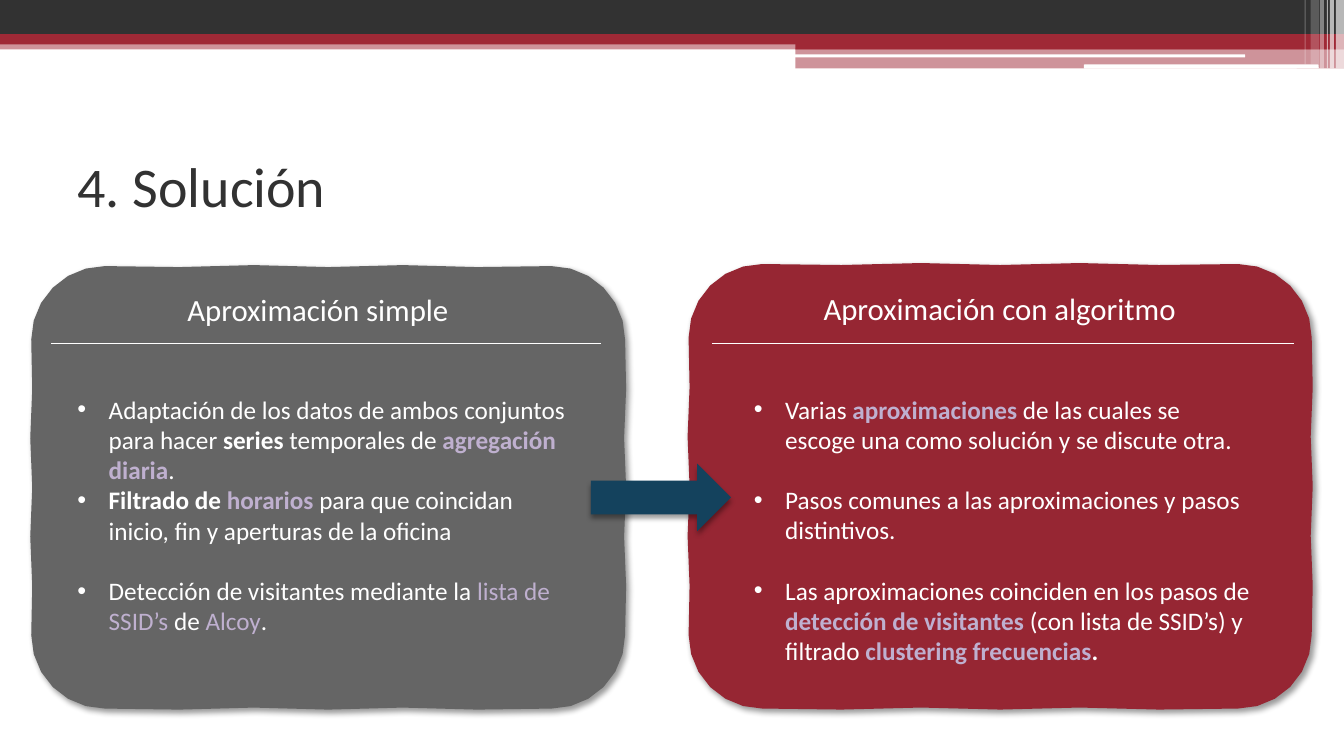
from math import cos, pi, sin

from lxml.etree import SubElement
from pptx import Presentation
from pptx.dml.color import RGBColor
from pptx.enum.shapes import MSO_CONNECTOR, MSO_SHAPE
from pptx.enum.text import MSO_ANCHOR
from pptx.oxml.ns import qn
from pptx.util import Cm, Pt

COLORS = {"dark": "323232", "red": "9F2936", "white": "FFFFFF", "gray": "656565",
          "wine": "962633", "lilac": "BFB0CF", "blue": "14425D", "black": "000000"}


def inch(value):
    return Cm(value * 2.54)


class SlideBuilder:
    """Keeps the style and draws on the current slide; places are in inches."""

    def __init__(self, page, font="Calibri"):
        self.page = page
        self.font = font

    def color(self, name):
        return RGBColor.from_string(COLORS[name])

    def paint(self, shape, name, opacity=100, shadow_angle=None):
        shape.fill.solid()
        shape.fill.fore_color.rgb = self.color(name)
        shape.line.fill.background()
        shape.shadow.inherit = False
        properties = shape._element.spPr
        if opacity < 100:
            tint = properties.find(qn("a:solidFill")).find(qn("a:srgbClr"))
            SubElement(tint, qn("a:alpha"), val=str(opacity * 1000))
        if shadow_angle is not None:
            shadow = SubElement(properties.find(qn("a:effectLst")), qn("a:outerShdw"),
                                blurRad=str(Pt(4)), dist=str(Pt(3)),
                                dir=str(shadow_angle * 60000), rotWithShape="0")
            black = SubElement(shadow, qn("a:srgbClr"), val=COLORS["black"])
            SubElement(black, qn("a:alpha"), val="40000")

    def shape(self, place, name, kind=MSO_SHAPE.RECTANGLE, **finish):
        self.paint(self.page.shapes.add_shape(kind, *map(inch, place)), name, **finish)

    def wavy_card(self, left, top, width, height, name, radius=0.73, ripple=0.01):
        right, bottom = left + width, top + height
        centers = [(right - radius, top + radius), (right - radius, bottom - radius),
                   (left + radius, bottom - radius), (left + radius, top + radius)]
        points = []
        for side, (x, y) in enumerate(centers):
            # Rounded corner, from one edge to the next
            for step in range(7):
                angle = (side - 1) * pi / 2 + step * pi / 12
                points.append((x + radius * cos(angle), y + radius * sin(angle)))
            # Rippled edge up to the next corner
            x, y = points[-1]
            next_x, next_y = centers[(side + 1) % 4]
            for step in range(5):
                part = (step + 1) / 6
                wave = ripple * (-1) ** step
                if side % 2:
                    points.append((x + (next_x - x) * part, y + wave))
                else:
                    points.append((x + wave, y + (next_y - y) * part))
        outline = [(inch(x), inch(y)) for x, y in points]
        builder = self.page.shapes.build_freeform(*outline[0], scale=1.0)
        builder.add_line_segments(outline[1:], close=True)
        self.paint(builder.convert_to_shape(), name, shadow_angle=45)

    def rule(self, start, end, y):
        line = self.page.shapes.add_connector(
            MSO_CONNECTOR.STRAIGHT, inch(start), inch(y), inch(end), inch(y))
        line.line.color.rgb = self.color("white")
        line.line.width = Pt(0.5)
        SubElement(line._element.spPr, qn("a:effectLst"))

    def text(self, place, paragraphs, size, indent=0.0, hanging=0.0,
             anchor=MSO_ANCHOR.TOP):
        """Each paragraph is (space before, spans); a span is (text, color, bold)."""
        frame = self.page.shapes.add_textbox(*map(inch, place)).text_frame
        frame.word_wrap = True
        frame.vertical_anchor = anchor
        for number, (before, spans) in enumerate(paragraphs):
            para = frame.add_paragraph() if number else frame.paragraphs[0]
            para.space_before = Pt(before)
            properties = para._p.get_or_add_pPr()
            properties.set("marL", str(inch(indent)))
            properties.set("indent", str(-inch(hanging)))
            if hanging:
                SubElement(properties, qn("a:buFont"), typeface="Arial")
                SubElement(properties, qn("a:buChar"), char="•")
            for words, name, bold in spans:
                span = para.add_run()
                span.text = words
                span.font.name = self.font
                span.font.size = Pt(size)
                span.font.bold = bold
                span.font.color.rgb = self.color(name)


def plain(words):
    return words, "white", False


def strong(words):
    return words, "white", True


def accent(words, bold=True):
    return words, "lilac", bold


deck = Presentation()
deck.slide_width, deck.slide_height = inch(13.33), inch(7.5)
builder = SlideBuilder(deck.slides.add_slide(deck.slide_layouts[6]))

# Header bands
for place, name, opacity in [
        ((0, 0.4, 13.33, 0.09), "red", 50), ((0, 0, 13.33, 0.34), "dark", 100),
        ((0, 0.34, 13.33, 0.1), "red", 100), ((7.89, 0.39, 5.44, 0.1), "red", 100),
        ((7.89, 0.48, 5.44, 0.2), "red", 50)]:
    builder.shape(place, name, opacity=opacity)
for place in [(7.88, 0.54, 4.47, 0.03), (10.75, 0.64, 2.33, 0.04)]:
    builder.shape(place, "white", MSO_SHAPE.ROUNDED_RECTANGLE)

# Header stripes at the right edge
for left, width, height, opacity in [
        (13.25, 0.08, 0.68, 65), (13.19, 0.04, 0.68, 65), (13.16, 0.01, 0.68, 60),
        (13.09, 0.04, 0.68, 40), (13, 0.08, 0.64, 20), (12.94, 0.01, 0.64, 30)]:
    builder.shape((left, 0, width, height), "white", opacity=opacity)

# Cards and title
builder.wavy_card(6.83, 2.62, 6.18, 4.41, "wine")
builder.wavy_card(0.31, 2.64, 5.89, 4.39, "gray")
builder.text((0.67, 1.25, 12, 1.17), [(0, [("4. Solución", "dark", False)])], 40,
             anchor=MSO_ANCHOR.MIDDLE)

# Card headings and rules
for place, heading in [((1.64, 2.83, 3.22, 0.58), "Aproximación simple"),
                       ((7.95, 2.82, 3.94, 0.58), "Aproximación con algoritmo")]:
    builder.text(place, [(3, [plain(heading)])], 22, indent=0.12)
builder.rule(0.51, 5.96, 3.41)
builder.rule(7.06, 12.83, 3.41)

# Card bullets
LINE_GAP = 21.5
simple_points = [
    (0, [plain("Adaptación de los datos de ambos conjuntos para hacer "),
         strong("series"), plain(" temporales de "),
         accent("agregación diaria"), plain(".")]),
    (0, [strong("Filtrado de "), accent("horarios"),
         plain(" para que coincidan inicio, fin y aperturas de la oficina")]),
    (LINE_GAP, [plain("Detección de visitantes mediante la "),
                accent("lista de SSID’s", False), plain(" de "),
                accent("Alcoy", False), plain(".")]),
]
algorithm_points = [
    (0, [plain("Varias "), accent("aproximaciones"),
         plain(" de las cuales se escoge una como solución y se discute otra.")]),
    (LINE_GAP, [plain("Pasos comunes a las aproximaciones y pasos distintivos.")]),
    (LINE_GAP, [plain("Las aproximaciones coinciden en los pasos de "),
                accent("detección de visitantes"),
                plain(" (con lista de SSID’s) y filtrado "),
                accent("clustering frecuencias"), strong(".")]),
]
for left, height, points in [(0.67, 2.52, simple_points), (7.38, 2.83, algorithm_points)]:
    builder.text((left, 3.86, 5.13, height), points, 18, indent=0.31, hanging=0.31)

# Arrow between the cards
builder.shape((5.86, 4.6, 1.39, 0.67), "blue", MSO_SHAPE.RIGHT_ARROW, shadow_angle=90)

deck.save("out.pptx")
